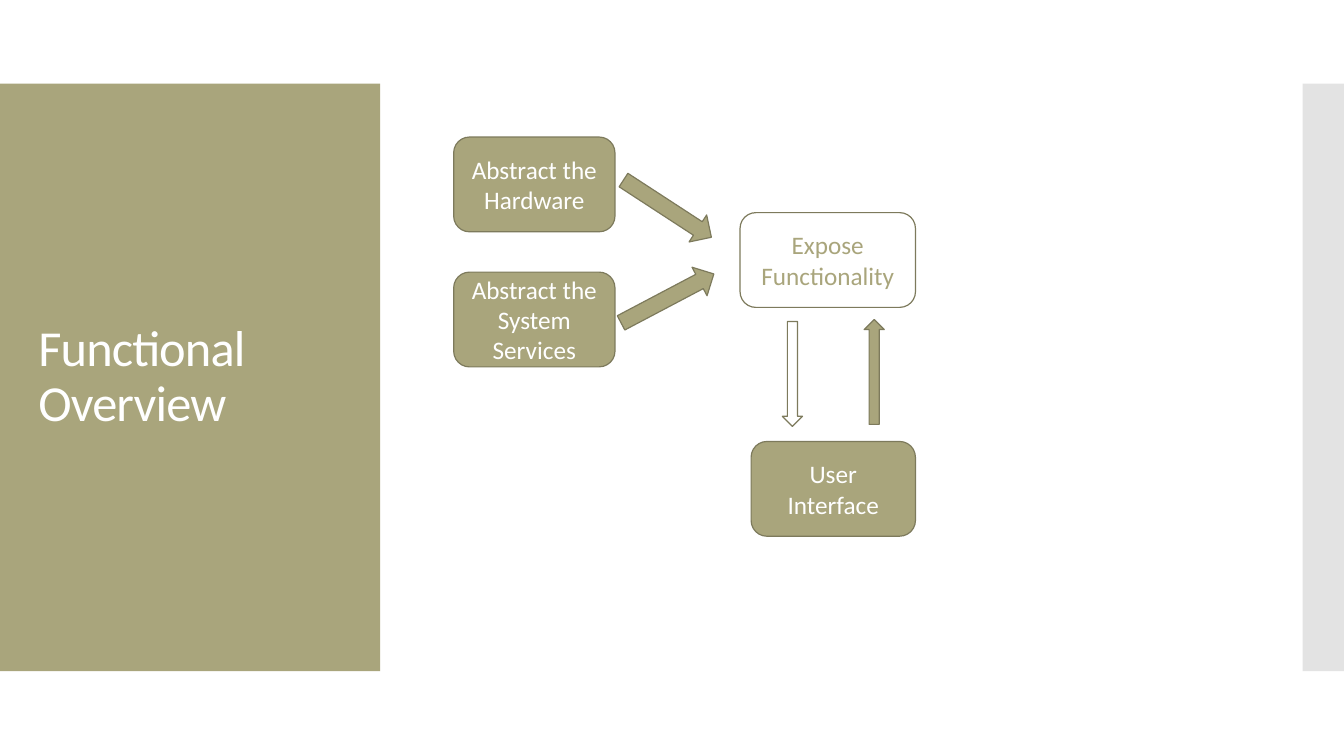
from lxml.etree import SubElement
from pptx import Presentation
from pptx.dml.color import RGBColor
from pptx.enum.shapes import MSO_SHAPE as Shape
from pptx.enum.text import MSO_ANCHOR as Anchor, MSO_AUTO_SIZE as AutoSize, PP_ALIGN as Align
from pptx.oxml.ns import qn
from pptx.util import Inches, Pt

FONT = "Calibri"
OLIVE, EDGE, WHITE, GREY = "A9A57C", "7D7A5C", "FFFFFF", "C8C8C8"
TITLE = "Functional Overview"
PANEL_TOP, PANEL_HEIGHT = 0.83, 5.83
BOX_HEIGHT, ARROW_LENGTH = 0.94, 1.04

BOXES = [
    ("Abstract the Hardware", 4.5, 1.36, 1.6, OLIVE, WHITE),
    ("Abstract the System Services", 4.5, 2.7, 1.6, OLIVE, WHITE),
    ("Expose Functionality", 7.34, 2.11, 1.74, WHITE, OLIVE),
    ("User Interface", 7.45, 4.38, 1.63, OLIVE, WHITE),
]
ARROWS = [
    (6.46, 1.55, 0.32, 303.1, OLIVE),
    (6.46, 2.44, 0.32, 242.2, OLIVE),
    (8.57, 3.17, 0.2, 180, OLIVE),
    (7.76, 3.19, 0.2, 0, WHITE),
]


def color(value):
    return RGBColor.from_string(value)


def add_block(slide, kind, left, top, width, height, fill, line=None):
    shape = slide.shapes.add_shape(kind, *map(Inches, (left, top, width, height)))
    shape.shadow.inherit = False
    shape.fill.solid()
    shape.fill.fore_color.rgb = color(fill)
    if line:
        shape.line.color.rgb = color(line)
        shape.line.width = Pt(0.85)
    else:
        shape.line.fill.background()
    return shape


def write_text(shape, text, size, text_color, align):
    frame = shape.text_frame
    frame.text = text
    frame.word_wrap = True
    frame.auto_size = AutoSize.NONE
    frame.vertical_anchor = Anchor.MIDDLE
    paragraph = frame.paragraphs[0]
    paragraph.alignment = align
    paragraph.font.name = FONT
    paragraph.font.size = Pt(size)
    paragraph.font.color.rgb = color(text_color)
    return paragraph


def add_panels(slide):
    add_block(slide, Shape.RECTANGLE, 0, PANEL_TOP, 3.77, PANEL_HEIGHT, OLIVE)
    strip = add_block(slide, Shape.RECTANGLE, 12.92, PANEL_TOP, 0.41, PANEL_HEIGHT, GREY)
    fill_color = strip._element.spPr.find(qn("a:solidFill"))[0]
    SubElement(fill_color, qn("a:alpha")).set("val", "50000")


def format_title(slide):
    title = slide.shapes.title
    title.left, title.top, title.width, title.height = map(Inches, (0.28, 1.23, 3.22, 5.03))
    paragraph = write_text(title, TITLE, 36, WHITE, Align.LEFT)
    paragraph.line_spacing = 0.9
    paragraph.runs[0].font._element.set("spc", "-60")
    slide.shapes._spTree.append(title._element)


def main():
    presentation = Presentation()
    presentation.slide_width, presentation.slide_height = Inches(13.33), Inches(7.5)
    slide = presentation.slides.add_slide(presentation.slide_layouts[5])
    add_panels(slide)
    format_title(slide)
    for text, left, top, width, fill, text_color in BOXES:
        box = add_block(slide, Shape.ROUNDED_RECTANGLE, left, top, width, BOX_HEIGHT, fill, EDGE)
        write_text(box, text, 18, text_color, Align.CENTER)
    for left, top, width, rotation, fill in ARROWS:
        arrow = add_block(slide, Shape.DOWN_ARROW, left, top, width, ARROW_LENGTH, fill, EDGE)
        arrow.rotation = rotation
    presentation.save("out.pptx")


if __name__ == "__main__":
    main()
